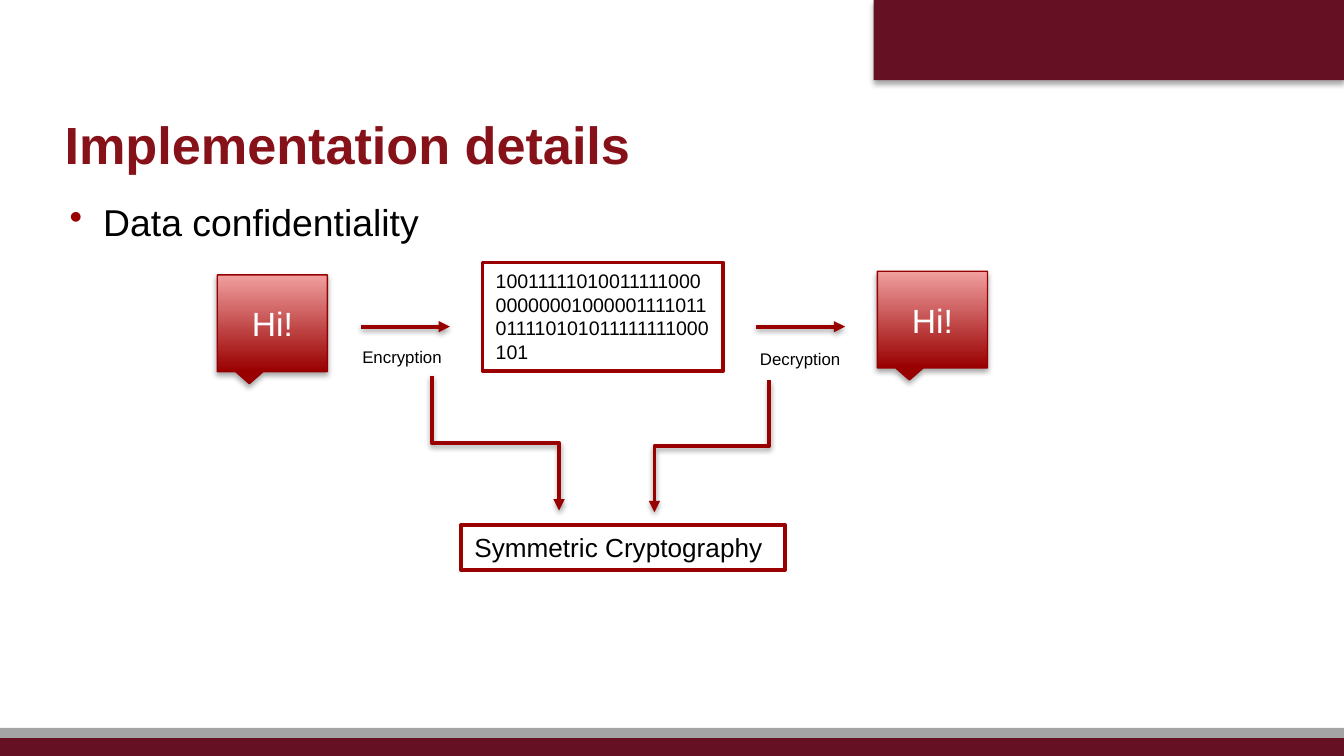
from dataclasses import dataclass

import lxml.etree
import pptx
import pptx.dml.color
import pptx.enum.shapes
import pptx.enum.text
import pptx.oxml.ns
import pptx.util

Pt = pptx.util.Pt
qn = pptx.oxml.ns.qn
Kind = pptx.enum.shapes.MSO_SHAPE
Link = pptx.enum.shapes.MSO_CONNECTOR
Align = pptx.enum.text.PP_ALIGN
Anchor = pptx.enum.text.MSO_ANCHOR

RED = "990000"
WINE = "661023"
BLACK = "000000"
WHITE = "FFFFFF"


@dataclass
class Area:
    left: float
    top: float
    width: float
    height: float

    def spans(self) -> list:
        return [Pt(v) for v in (self.left, self.top, self.width, self.height)]


@dataclass
class Band:
    area: Area
    fill: str
    shade: bool = False


@dataclass
class Label:
    area: Area
    text: str
    size: float
    framed: bool = False


@dataclass
class Arrow:
    x1: float
    y1: float
    x2: float
    y2: float


def color(code: str):
    return pptx.dml.color.RGBColor.from_string(code)


def add_node(parent, tag: str, **attrs):
    return lxml.etree.SubElement(parent, qn(tag), {k: str(v) for k, v in attrs.items()})


def add_shadow(shape, dist: float, alpha: int) -> None:
    props = shape.element.spPr
    for old in props.findall(qn("a:effectLst")):
        props.remove(old)
    effects = add_node(props, "a:effectLst")
    outer = add_node(effects, "a:outerShdw", blurRad=Pt(3.1), dist=Pt(dist),
                     dir=5400000, rotWithShape=0)
    tint = add_node(outer, "a:srgbClr", val=BLACK)
    add_node(tint, "a:alpha", val=alpha * 1000)


def set_text(shape, text: str, size: float, ink: str, bold: bool = False):
    frame = shape.text_frame
    frame.word_wrap = True
    para = frame.paragraphs[0]
    para.text = text
    para.font.name = "Arial"
    para.font.size = Pt(size)
    para.font.bold = bold
    para.font.color.rgb = color(ink)
    return frame


def add_band(slide, band: Band) -> None:
    shape = slide.shapes.add_shape(Kind.RECTANGLE, *band.area.spans())
    shape.shadow.inherit = False
    shape.fill.solid()
    shape.fill.fore_color.rgb = color(band.fill)
    shape.line.fill.background()
    if band.shade:
        add_shadow(shape, 1.8, 35)


def add_title(slide, text: str) -> None:
    box = slide.shapes.add_textbox(*Area(34.6, 26, 576, 67.6).spans())
    frame = set_text(box, text, 28, "861119", bold=True)
    frame.margin_left = frame.margin_right = 0
    frame.margin_top = frame.margin_bottom = 0
    frame.vertical_anchor = Anchor.BOTTOM


def add_bullet(slide, text: str) -> None:
    box = slide.shapes.add_textbox(*Area(30.2, 103, 672.5, 259).spans())
    props = box.text_frame.paragraphs[0]._p.get_or_add_pPr()
    props.set("marL", str(Pt(18)))
    props.set("indent", str(Pt(-18)))
    add_node(add_node(props, "a:buClr"), "a:srgbClr", val=RED)
    add_node(props, "a:buChar", char="•")
    set_text(box, text, 20, BLACK)


def add_label(slide, label: Label) -> None:
    box = slide.shapes.add_textbox(*label.area.spans())
    set_text(box, label.text, label.size, BLACK)
    if label.framed:
        box.fill.solid()
        box.fill.fore_color.rgb = color(WHITE)
        box.line.color.rgb = color(RED)
        box.line.width = Pt(2)


def add_bubble(slide, area: Area) -> None:
    shape = slide.shapes.add_shape(Kind.RECTANGULAR_CALLOUT, *area.spans())
    shape.fill.gradient()
    shape.fill.gradient_angle = 90
    for stop, code in zip(shape.fill.gradient_stops, (RED, "F19F9F")):
        stop.color.rgb = color(code)
    shape.line.color.rgb = color("960000")
    shape.line.width = Pt(0.75)
    add_shadow(shape, 1.8, 35)
    frame = set_text(shape, "Hi!", 18, WHITE)
    frame.vertical_anchor = Anchor.MIDDLE
    frame.paragraphs[0].alignment = Align.CENTER


def style_arrow(line) -> None:
    line.line.color.rgb = color(RED)
    line.line.width = Pt(2)
    add_node(line.element.spPr.find(qn("a:ln")), "a:tailEnd", type="triangle")
    add_shadow(line, 1.6, 38)


def add_arrow(slide, arrow: Arrow) -> None:
    ends = [Pt(v) for v in (arrow.x1, arrow.y1, arrow.x2, arrow.y2)]
    style_arrow(slide.shapes.add_connector(Link.STRAIGHT, *ends))


def add_elbow(slide, arrow: Arrow) -> None:
    mid_x, mid_y = (arrow.x1 + arrow.x2) / 2, (arrow.y1 + arrow.y2) / 2
    half_w, half_h = abs(arrow.y2 - arrow.y1) / 2, abs(arrow.x2 - arrow.x1) / 2
    ends = (mid_x - half_w, mid_y - half_h, mid_x + half_w, mid_y + half_h)
    line = slide.shapes.add_connector(Link.ELBOW, *[Pt(v) for v in ends])
    frame = line.element.spPr.find(qn("a:xfrm"))
    if arrow.x2 > arrow.x1:
        frame.set("rot", "16200000")
        frame.set("flipH", "1")
    else:
        frame.set("rot", "5400000")
    style_arrow(line)


def main() -> None:
    deck = pptx.Presentation()
    deck.slide_width, deck.slide_height = Pt(720), Pt(405)
    slide = deck.slides.add_slide(deck.slide_layouts[6])

    for band in (Band(Area(468, 0, 252, 43), WINE, True),
                 Band(Area(0, 395, 720, 10), WINE),
                 Band(Area(0, 390, 720, 5.3), "A4A4A4")):
        add_band(slide, band)
    add_title(slide, "Implementation details")
    add_bullet(slide, "Data confidentiality")

    bits = "1001111101001111100000000001000001111011011110101011111111000101"
    for label in (Label(Area(258.5, 140.7, 129, 58), bits, 10.5, True),
                  Label(Area(187, 182, 94.3, 18), "Encryption", 9),
                  Label(Area(400, 183, 94.3, 18), "Decryption", 9),
                  Label(Area(247, 281.2, 173.5, 24.3), "Symmetric Cryptography", 14, True)):
        add_label(slide, label)

    for left, top in ((116.4, 147.3), (470, 145.3)):
        add_bubble(slide, Area(left, top, 59, 51.8))
    for left in (193.5, 405.2):
        add_arrow(slide, Arrow(left, 175, left + 47.5, 175))
    for arrow in (Arrow(231.3, 201.3, 299.5, 273.5), Arrow(412, 203.6, 350.6, 274.4)):
        add_elbow(slide, arrow)

    deck.save("out.pptx")


if __name__ == "__main__":
    main()
